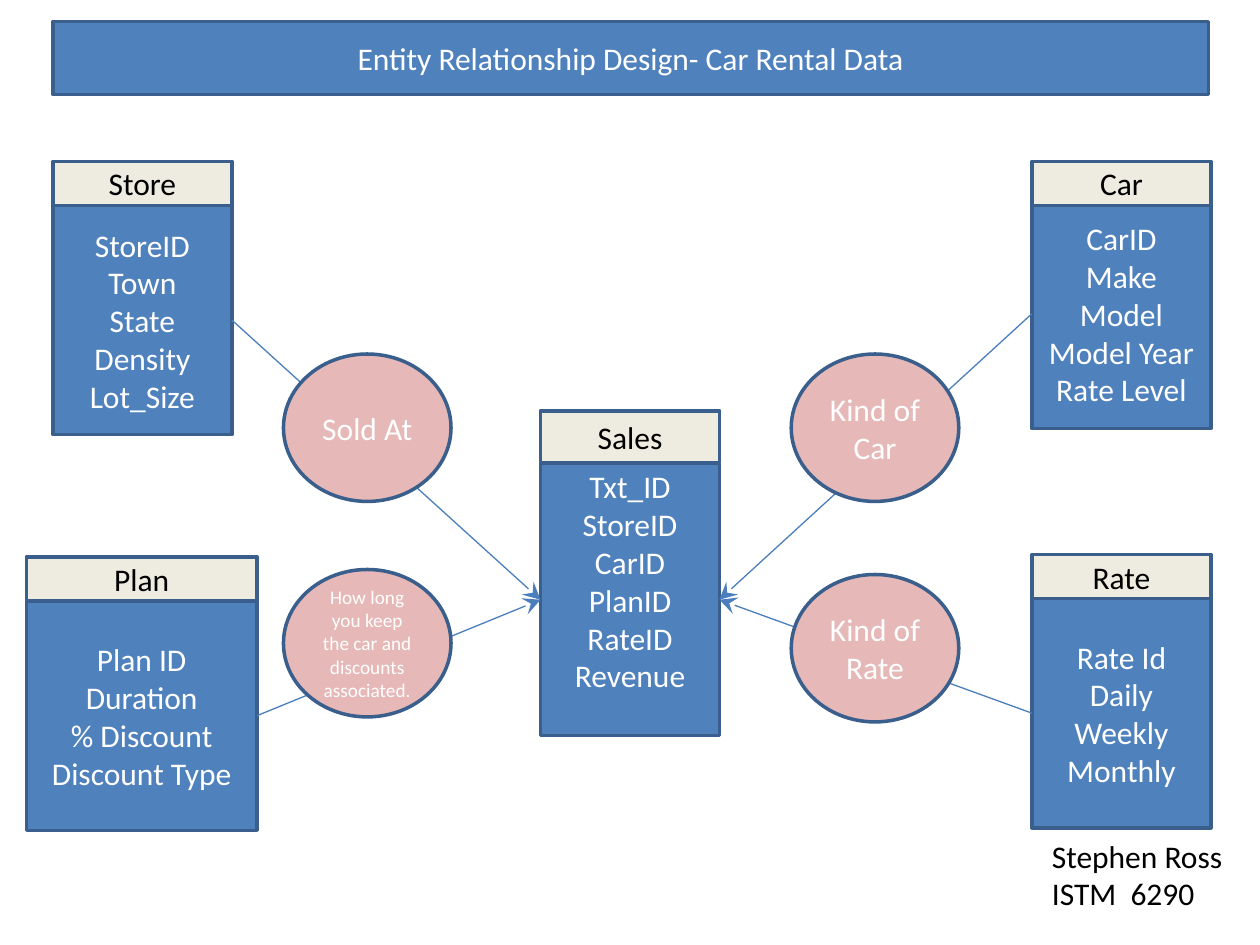
"""Build the entity relationship slide for car rental data."""
from lxml.etree import SubElement
from pptx import Presentation
from pptx.dml.color import RGBColor
from pptx.enum.shapes import MSO_CONNECTOR, MSO_SHAPE
from pptx.enum.text import MSO_ANCHOR, MSO_AUTO_SIZE, PP_ALIGN
from pptx.oxml.ns import qn
from pptx.util import Inches, Pt

BLUE = RGBColor(0x4F, 0x81, 0xBD)
EDGE = RGBColor(0x3A, 0x5F, 0x8C)
LINK = RGBColor(0x4B, 0x7E, 0xBC)
CREAM = RGBColor(0xEE, 0xEC, 0xE1)
PINK = RGBColor(0xE6, 0xB9, 0xB8)
WHITE = RGBColor(0xFF, 0xFF, 0xFF)
BLACK = RGBColor(0, 0, 0)

TITLE = "Entity Relationship Design- Car Rental Data"
AUTHOR = ["Stephen Ross", "ISTM  6290"]
LEFT, RIGHT = 1, 3

ENTITIES = {
    "Store": (0.42, 1.28, 1.42, 0.35, 1.63, 1.82,
              ["StoreID", "Town", "State", "Density", "Lot_Size"]),
    "Car": (8.19, 1.28, 1.42, 0.35, 1.58, 1.82,
            ["CarID", "Make", "Model", "Model Year", "Rate Level"]),
    "Plan": (0.21, 4.42, 1.83, 0.35, 4.77, 1.82,
             ["Plan ID", "Duration", "% Discount", "Discount Type"]),
    "Rate": (8.19, 4.4, 1.42, 0.35, 4.75, 1.82,
             ["Rate Id", "Daily", "Weekly Monthly"]),
    "Sales": (4.29, 3.26, 1.42, 0.41, 3.68, 2.16,
              ["Txt_ID", "StoreID", "CarID", "PlanID", "RateID", "Revenue"]),
}
LINKS = [("Store", RIGHT, LEFT), ("Car", LEFT, RIGHT),
         ("Rate", LEFT, RIGHT), ("Plan", RIGHT, LEFT)]
ROLES = [
    (2.25, 2.81, "Sold At", 18),
    (6.28, 2.81, "Kind of Car", 18),
    (2.25, 4.52, "How long you keep the car and discounts associated.", 11),
    (6.28, 4.56, "Kind of Rate", 18),
]


def write(shape, rows, color, size=18, align=PP_ALIGN.CENTER):
    frame = shape.text_frame
    frame.word_wrap = True
    frame.text = "\n".join(rows)
    for para in frame.paragraphs:
        para.alignment = align
        for run in para.runs:
            run.font.name = "Calibri"
            run.font.size = Pt(size)
            run.font.color.rgb = color


def draw(shapes, kind, place, fill, rows, color=WHITE, size=18):
    shape = shapes.add_shape(kind, *map(Inches, place))
    shape.shadow.inherit = False
    shape.fill.solid()
    shape.fill.fore_color.rgb = fill
    shape.line.color.rgb = EDGE
    shape.line.width = Pt(2)
    shape.text_frame.vertical_anchor = MSO_ANCHOR.MIDDLE
    write(shape, rows, color, size)
    return shape


def entity(shapes, name):
    left, top, width, head, low, height, fields = ENTITIES[name]
    group = shapes.add_group_shape()
    body = draw(group.shapes, MSO_SHAPE.RECTANGLE,
                (left, low, width, height), BLUE, fields)
    draw(group.shapes, MSO_SHAPE.RECTANGLE,
         (left, top, width, head), CREAM, [name], BLACK)
    return body


def link(shapes, start, side, end, port):
    line = shapes.add_connector(MSO_CONNECTOR.STRAIGHT, 0, 0, 0, 0)
    line.begin_connect(start, side)
    line.end_connect(end, port)
    line.line.color.rgb = LINK
    line.line.width = Pt(0.75)
    props = line._element.spPr
    SubElement(props.find(qn("a:ln")), qn("a:tailEnd"),
               type="stealth", w="lg", len="lg")
    SubElement(props, qn("a:effectLst"))


def main():
    deck = Presentation()
    deck.slide_width, deck.slide_height = Inches(10), Inches(7.5)
    shapes = deck.slides.add_slide(deck.slide_layouts[6]).shapes

    bodies = {name: entity(shapes, name) for name in ENTITIES}
    sales = bodies["Sales"]
    sales.text_frame.margin_bottom = Inches(0.35)

    draw(shapes, MSO_SHAPE.RECTANGLE, (0.42, 0.17, 9.17, 0.58), BLUE, [TITLE])
    note = shapes.add_textbox(*map(Inches, (8.25, 6.59, 1.58, 0.71)))
    write(note, AUTHOR, BLACK, align=PP_ALIGN.LEFT)
    note.text_frame.auto_size = MSO_AUTO_SIZE.SHAPE_TO_FIT_TEXT

    for name, side, port in LINKS:
        link(shapes, bodies[name], side, sales, port)
    for left, top, text, size in ROLES:
        draw(shapes, MSO_SHAPE.OVAL, (left, top, 1.33, 1.17),
             PINK, [text], size=size)
    deck.save("out.pptx")


if __name__ == "__main__":
    main()
